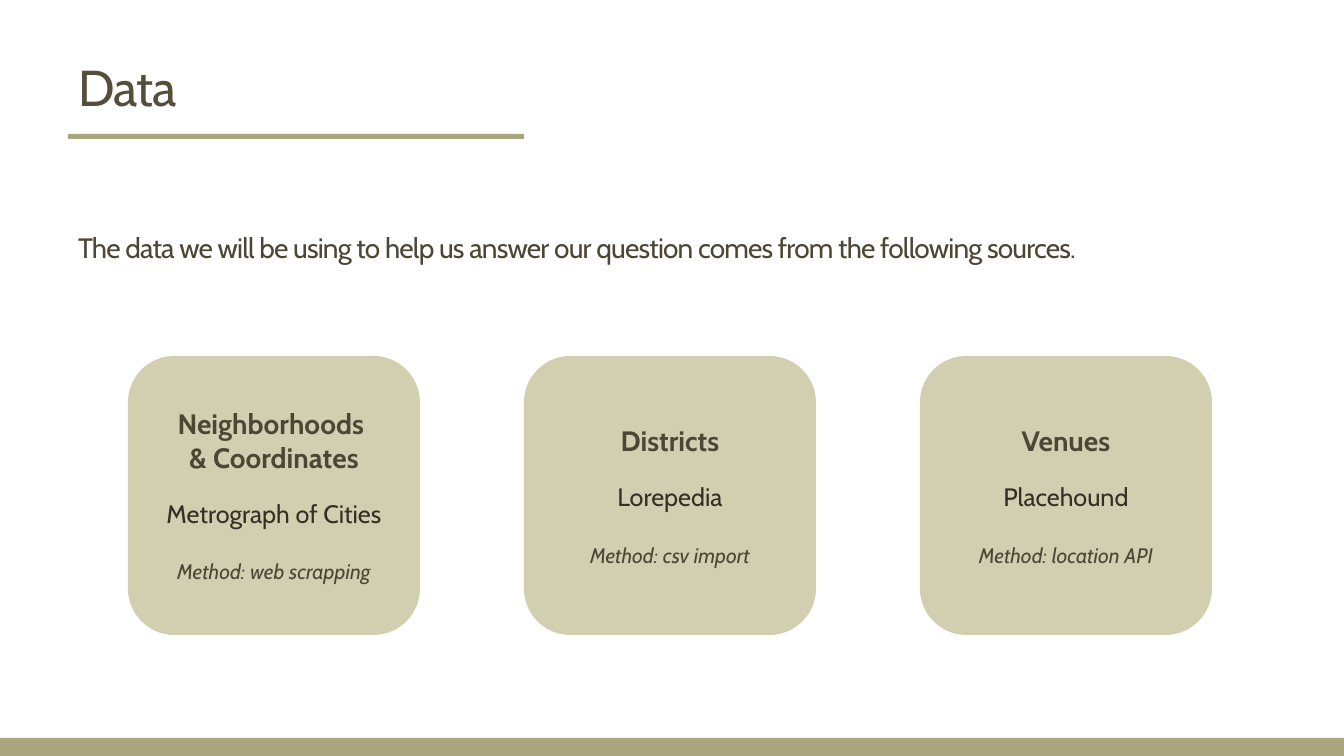
from lxml.etree import SubElement
from pptx import Presentation
from pptx.dml.color import RGBColor
from pptx.enum.shapes import MSO_SHAPE
from pptx.enum.text import MSO_ANCHOR, MSO_AUTO_SIZE, PP_ALIGN
from pptx.oxml.ns import qn
from pptx.util import Pt

SCALE = 914400 / 100.8
WIDE, HIGH = 1344, 756
FONT = "Cabin"
COLORS = {
    "olive": "A9A57C",
    "sand": "D2CFB1",
    "title": "554E3A",
    "brown": "4D4635",
    "dark": "342F24",
}
CARDS = [
    (["Neighborhoods ", "& Coordinates"], "Metrograph of Cities", "Method: web scrapping"),
    (["Districts"], "Lorepedia", "Method: csv import"),
    (["Venues"], "Placehound", "Method: location API"),
]


def px(num):
    return round(num * SCALE)


def color(name):
    return RGBColor.from_string(COLORS[name])


def add_run(para, text, size, tint, bold=False, slant=False):
    run = para.add_run()
    run.text = text
    font = run.font
    font.name, font.size = FONT, Pt(size)
    font.bold, font.italic = bold, slant
    font.color.rgb = color(tint)
    return run


def add_block(slide, kind, box, tint):
    block = slide.shapes.add_shape(kind, *map(px, box))
    block.shadow.inherit = False
    block.fill.solid()
    block.fill.fore_color.rgb = color(tint)
    block.line.fill.background()
    return block


def fill_holder(holder, box, text, size, tint):
    holder.left, holder.top, holder.width, holder.height = map(px, box)
    frame = holder.text_frame
    frame.word_wrap = True
    frame.auto_size = MSO_AUTO_SIZE.NONE
    frame.vertical_anchor = MSO_ANCHOR.TOP
    para = frame.paragraphs[0]
    para.alignment = PP_ALIGN.LEFT
    para.line_spacing = 0.9
    para.space_before = Pt(0)
    props = para._p.get_or_add_pPr()
    props.set("marL", "0")
    props.set("indent", "0")
    SubElement(props, qn("a:buNone"))
    run = add_run(para, text, size, tint)
    run._r.get_or_add_rPr().set("spc", "-60")


def add_head(slide, box):
    left, top, wide, high = box
    fill_holder(slide.shapes.title, box, "Data", 36, "title")
    add_block(slide, MSO_SHAPE.RECTANGLE, (left, top + 76, 456, 5), "olive")


def add_card(slide, box, card):
    heads, source, method = card
    frame = add_block(slide, MSO_SHAPE.ROUNDED_RECTANGLE, box, "sand").text_frame
    frame.word_wrap = True
    frame.vertical_anchor = MSO_ANCHOR.MIDDLE
    rows = [(head, 20, "brown", True, False, 0) for head in heads]
    rows += [
        (source, 18, "dark", False, False, 17),
        (method, 15, "brown", False, True, 22),
    ]
    for num, (text, size, tint, bold, slant, gap) in enumerate(rows):
        para = frame.add_paragraph() if num else frame.paragraphs[0]
        para.alignment = PP_ALIGN.CENTER
        para.space_before = Pt(gap)
        add_run(para, text, size, tint, bold, slant)


def add_cards(slide, box):
    left, top, wide, high = box
    size = 292
    step = (wide - size) / (len(CARDS) - 1)
    for num, card in enumerate(CARDS):
        add_card(slide, (left + num * step, top, size, high), card)


def main():
    deck = Presentation()
    deck.slide_width, deck.slide_height = px(WIDE), px(HIGH)
    slide = deck.slides.add_slide(deck.slide_layouts[1])
    add_block(slide, MSO_SHAPE.RECTANGLE, (0, HIGH - 18, WIDE, 18), "olive")
    add_head(slide, (68, 58, 837, 85))
    intro = "The data we will be using to help us answer our question comes from the following sources."
    fill_holder(slide.placeholders[1], (68, 229, 1210, 64), intro, 20, "brown")
    add_cards(slide, (128, 356, 1084, 279))
    deck.save("out.pptx")


if __name__ == "__main__":
    main()
